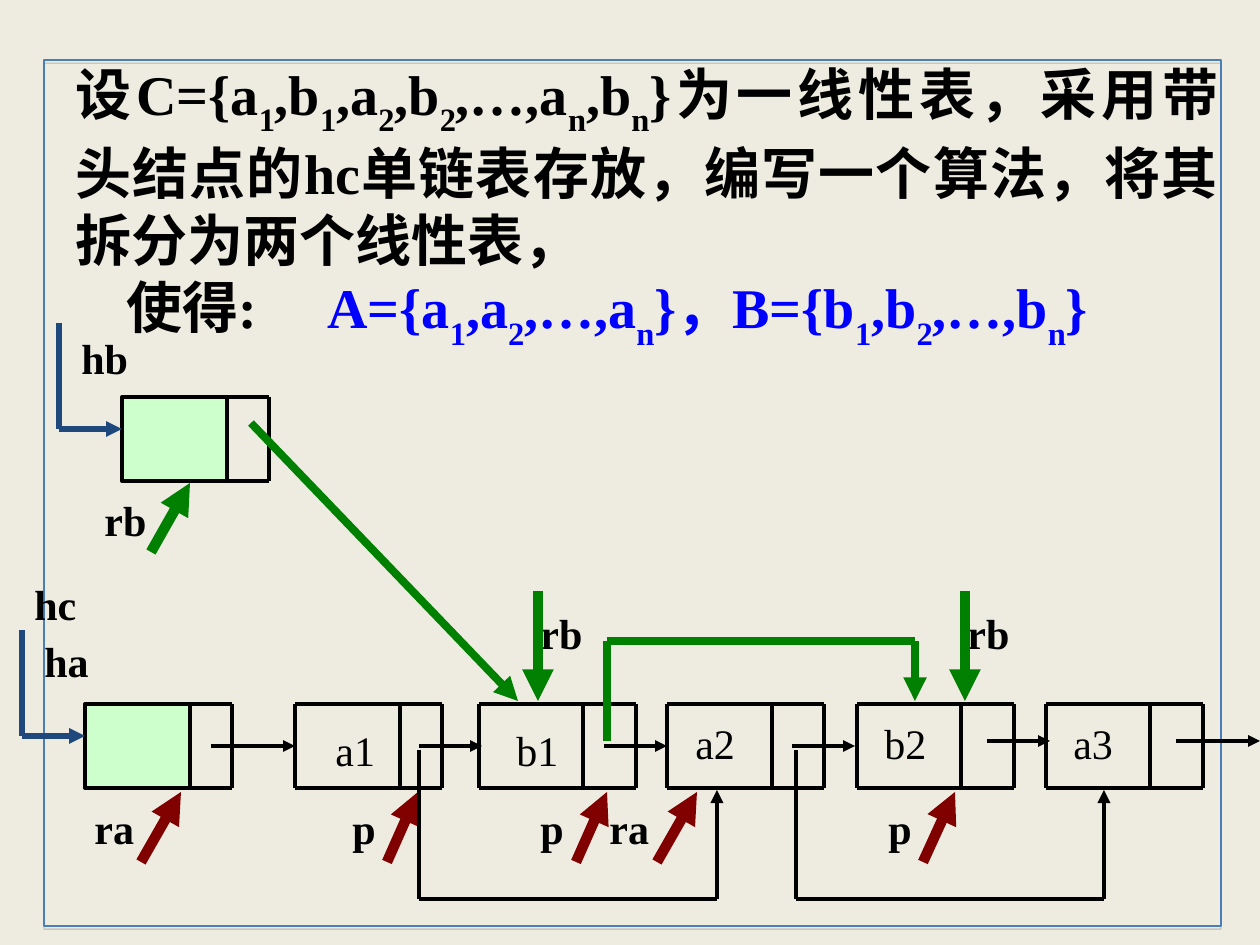
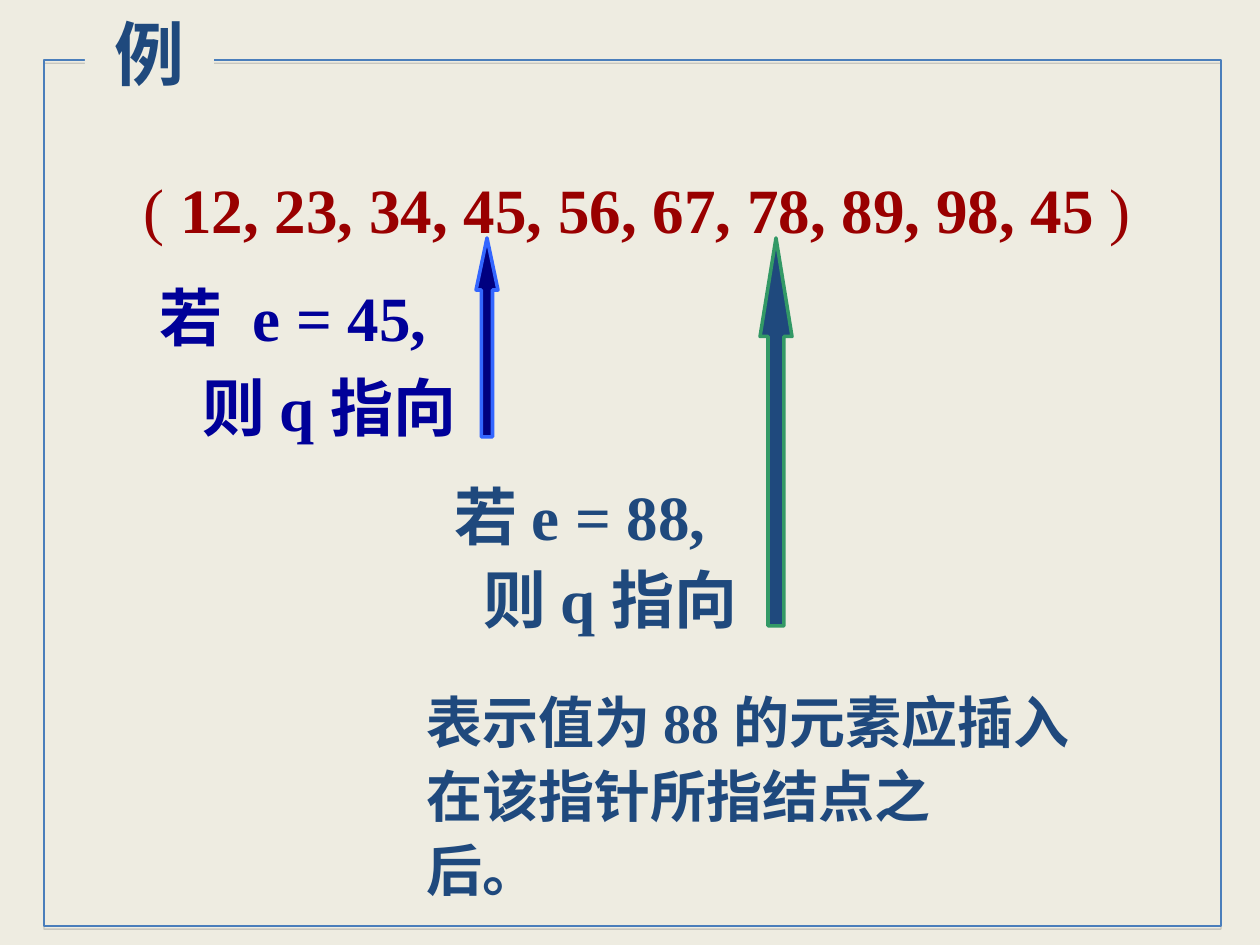
from lxml import etree
from pptx import Presentation
from pptx.dml.color import RGBColor
from pptx.enum.shapes import MSO_CONNECTOR, MSO_SHAPE
from pptx.enum.text import MSO_ANCHOR, MSO_AUTO_SIZE, PP_ALIGN
from pptx.oxml.ns import qn
from pptx.util import Pt

PX = 914400 / 126
STRAIGHT = MSO_CONNECTOR.STRAIGHT
RECTANGLE, UP_ARROW = MSO_SHAPE.RECTANGLE, MSO_SHAPE.UP_ARROW
LEFT, CENTER, JUSTIFY = PP_ALIGN.LEFT, PP_ALIGN.CENTER, PP_ALIGN.JUSTIFY
MIDDLE, GROW = MSO_ANCHOR.MIDDLE, MSO_AUTO_SIZE.SHAPE_TO_FIT_TEXT

FONT = "Times New Roman"
PAPER, BLACK, NAVY, FRAME = "EEECE1", "000000", "1F497D", "4A7EBB"
GREEN, MAROON, MINT, BLUE = "008000", "800000", "CCFFCC", "0000FF"
rgb = RGBColor.from_string


def draw_path(page, points, color, width, arrow=False):
    """Join the points with straight lines; arrow puts a head on the last one."""
    for start, end in zip(points, points[1:]):
        ends = [round(value * PX) for value in (*start, *end)]
        line = page.shapes.add_connector(STRAIGHT, *ends)
        line.line.color.rgb = rgb(color)
        line.line.width = Pt(width)
        etree.SubElement(line._element.spPr, qn("a:effectLst"))
    if arrow:
        etree.SubElement(line.line._get_or_add_ln(), qn("a:tailEnd"), type="triangle")


def write_text(page, area, lines, size, color, bold=True, wrap=False,
               spacing=1.0, align=LEFT):
    """Write (text, indent, gap) lines, with | between the runs.

    _ opens a subscript, a lone newline breaks the line, and a lone space
    is widened by gap.
    """
    box = page.shapes.add_textbox(*[round(value * PX) for value in area])
    frame = box.text_frame
    frame.word_wrap = wrap
    if not wrap:
        frame.auto_size = GROW
    for number, (text, indent, gap) in enumerate(lines):
        para = frame.add_paragraph() if number else frame.paragraphs[0]
        para.alignment = align
        para.line_spacing = spacing
        para._p.get_or_add_pPr().set("indent", str(round(indent * PX)))
        para.font.name = FONT
        para.font.size = Pt(size)
        para.font.bold = bold
        para.font.color.rgb = rgb(color)
        for piece in text.split("|"):
            if piece == "\n":
                para.add_line_break()
                continue
            span = para.add_run()
            span.text = piece.lstrip("_")
            if piece.startswith("_"):
                span._r.get_or_add_rPr().set("baseline", "-30000")
            elif piece == " ":
                span._r.get_or_add_rPr().set("spc", str(round(gap * PX / 127)))
    return box


deck = Presentation()
deck.slide_width, deck.slide_height = round(1260 * PX), round(945 * PX)
background = deck.slide_master.background.fill
background.solid()
background.fore_color.rgb = rgb(PAPER)

# Both pages carry the same thin frame with a soft lower edge
for _ in range(2):
    page = deck.slides.add_slide(deck.slide_layouts[6])
    frame = page.shapes.add_shape(
        RECTANGLE, *[round(value * PX) for value in (44, 60, 1177, 866)])
    frame.fill.background()
    frame.line.color.rgb = rgb(FRAME)
    frame.line.width = Pt(0.75)
    frame.shadow.inherit = False
    effects = frame._element.spPr.find(qn("a:effectLst"))
    shadow = etree.SubElement(effects, qn("a:outerShdw"), dist=str(Pt(1.8)),
                              dir="5400000", rotWithShape="0")
    tint = etree.SubElement(shadow, qn("a:srgbClr"), val="808080")
    etree.SubElement(tint, qn("a:alpha"), val="35000")
split_page, search_page = deck.slides

# Page 1: splitting one linked list into two
problem = write_text(split_page, (63, 53, 1168, 315), [
    ("设C={a|_1|,b|_1|,a|_2|,b|_2|,…,a|_n|,b|_n|}为一线性表，采用带头结点的hc"
     "单链表存放，编写一个算法，将其拆分为两个线性表，", 0, 0),
    ("使得:| |A={a|_1|,a|_2|,…,a|_n|}，B={b|_1|,b|_2|,…,b|_n|}", 51, 56),
], 32, BLACK, wrap=True, align=JUSTIFY)
for span in problem.text_frame.paragraphs[1].runs[2:]:
    span.font.color.rgb = rgb(BLUE)

NODE_HEIGHT = 84
HB_TOP, HC_TOP = 397, 704
nodes = [  # left, divider, right, top
    (122, 227, 269, HB_TOP), (85, 190, 232, HC_TOP), (295, 400, 442, HC_TOP),
    (479, 583, 636, HC_TOP), (667, 772, 824, HC_TOP), (857, 961, 1014, HC_TOP),
    (1046, 1150, 1203, HC_TOP),
]
for left, divider, right, top in nodes:
    bottom = top + NODE_HEIGHT
    draw_path(split_page, [(left, top), (right, top), (right, bottom),
                           (left, bottom), (left, top)], BLACK, 2.25)
    draw_path(split_page, [(divider, top), (divider, bottom)], BLACK, 2.25)

for left, divider, right, top in nodes[:2]:
    head = split_page.shapes.add_shape(
        RECTANGLE,
        *[round(value * PX) for value in (left, top, divider - left, NODE_HEIGHT)])
    head.shadow.inherit = False
    head.fill.solid()
    head.fill.fore_color.rgb = rgb(MINT)
    head.line.color.rgb = rgb(BLACK)
    head.line.width = Pt(2.25)
    entry = left - 63
    draw_path(split_page, [(entry, top - 74), (entry, top + 32), (left, top + 32)],
              NAVY, 3, arrow=True)

for start, end, y in [(211, 295, 746), (419, 482, 746), (604, 667, 746),
                      (792, 855, 746), (987, 1050, 741), (1176, 1260, 741)]:
    draw_path(split_page, [(start, y), (end, y)], BLACK, 2.25, arrow=True)

for text, left, top, width in [("a1", 323, 718, 67), ("b1", 504, 718, 69),
                               ("a2", 683, 711, 67), ("b2", 872, 711, 69),
                               ("a3", 1061, 711, 67)]:
    write_text(split_page, (left, top, width, 63), [(text, 0, 0)], 24, BLACK, bold=False)

for text, left, top, width in [
        ("hb", 69, 326, 74), ("ha", 32, 629, 72), ("hc", 22, 572, 70),
        ("rb", 92, 488, 69), ("rb", 528, 601, 69), ("rb", 955, 601, 69),
        ("ra", 82, 796, 67), ("p", 340, 796, 50), ("p", 528, 796, 50),
        ("ra", 597, 796, 67), ("p", 876, 796, 50)]:
    write_text(split_page, (left, top, width, 63), [(text, 0, 0)], 24, BLACK)

for tail, tip in [(141, 181), (387, 418), (576, 607), (657, 697), (923, 955)]:
    draw_path(split_page, [(tail, 862), (tip, 792)], MAROON, 6, arrow=True)

draw_path(split_page, [(151, 552), (190, 483)], GREEN, 6, arrow=True)
for x in (538, 965):
    draw_path(split_page, [(x, 591), (x, 701)], GREEN, 6, arrow=True)
draw_path(split_page, [(251, 423), (518, 701)], GREEN, 4.5, arrow=True)
draw_path(split_page, [(607, 741), (607, 641), (915, 641), (915, 701)],
          GREEN, 4.5, arrow=True)

for start, end in [(419, 717), (796, 1104)]:
    draw_path(split_page, [(start, 750), (start, 899), (end, 899), (end, 790)],
              BLACK, 2.5, arrow=True)

# Page 2: where the search pointer stops
sequence = write_text(search_page, (131, 164, 1012, 88), [
    ("( |12, 23, 34, 45, 56, 67, 78, 89, 98, 45| )", 0, 0),
], 36, "990000", bold=False)
sequence.text_frame.paragraphs[0].runs[1].font.bold = True

write_text(search_page, (147, 257, 329, 285),
           [("若| |e = 45,", 0, 16), ("则 q 指向", 43, 0)],
           36, "000099", wrap=True, spacing=1.2)
write_text(search_page, (442, 464, 343, 179),
           [("若 e = 88,", 0, 0), ("则 q 指向", 29, 0)], 36, NAVY, spacing=1.1)
write_text(search_page, (414, 675, 693, 161),
           [("表示值为 88 的元素应插入在该指针所指结点之|\n|后。", 0, 0)],
           32, NAVY, wrap=True, spacing=1.1)

for area, head_ratio, fill, outline in [
        ((476, 238, 22, 199), 2.37, "000080", "3366FF"),
        ((760, 238, 32, 388), 3.08, NAVY, "339966")]:
    pointer = search_page.shapes.add_shape(
        UP_ARROW, *[round(value * PX) for value in area])
    pointer.adjustments[1] = head_ratio
    pointer.shadow.inherit = False
    pointer.fill.solid()
    pointer.fill.fore_color.rgb = rgb(fill)
    pointer.line.color.rgb = rgb(outline)
    pointer.line.width = Pt(2)

title = write_text(search_page, (85, 4, 129, 97), [("例", 0, 0)], 40, NAVY,
                   wrap=True, align=CENTER)
title.text_frame.vertical_anchor = MIDDLE
title.fill.solid()
title.fill.fore_color.rgb = rgb(PAPER)

deck.save("out.pptx")
